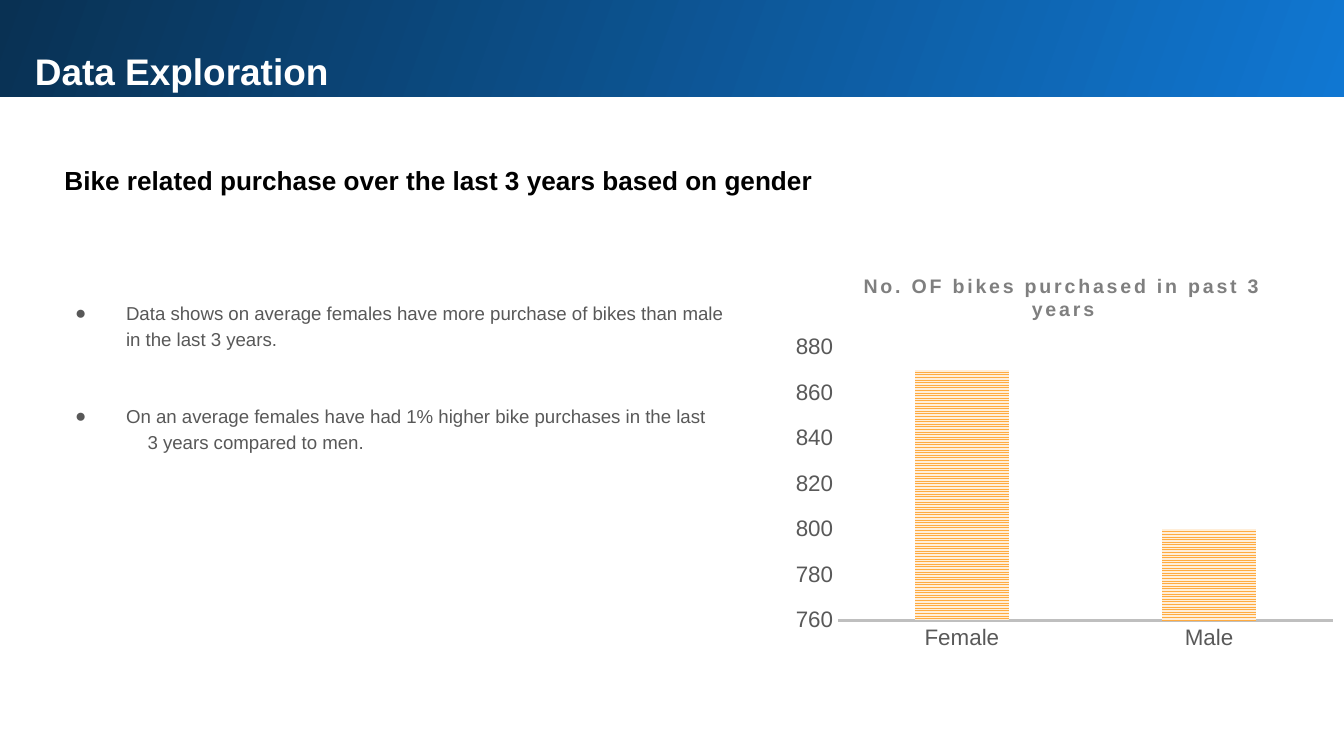
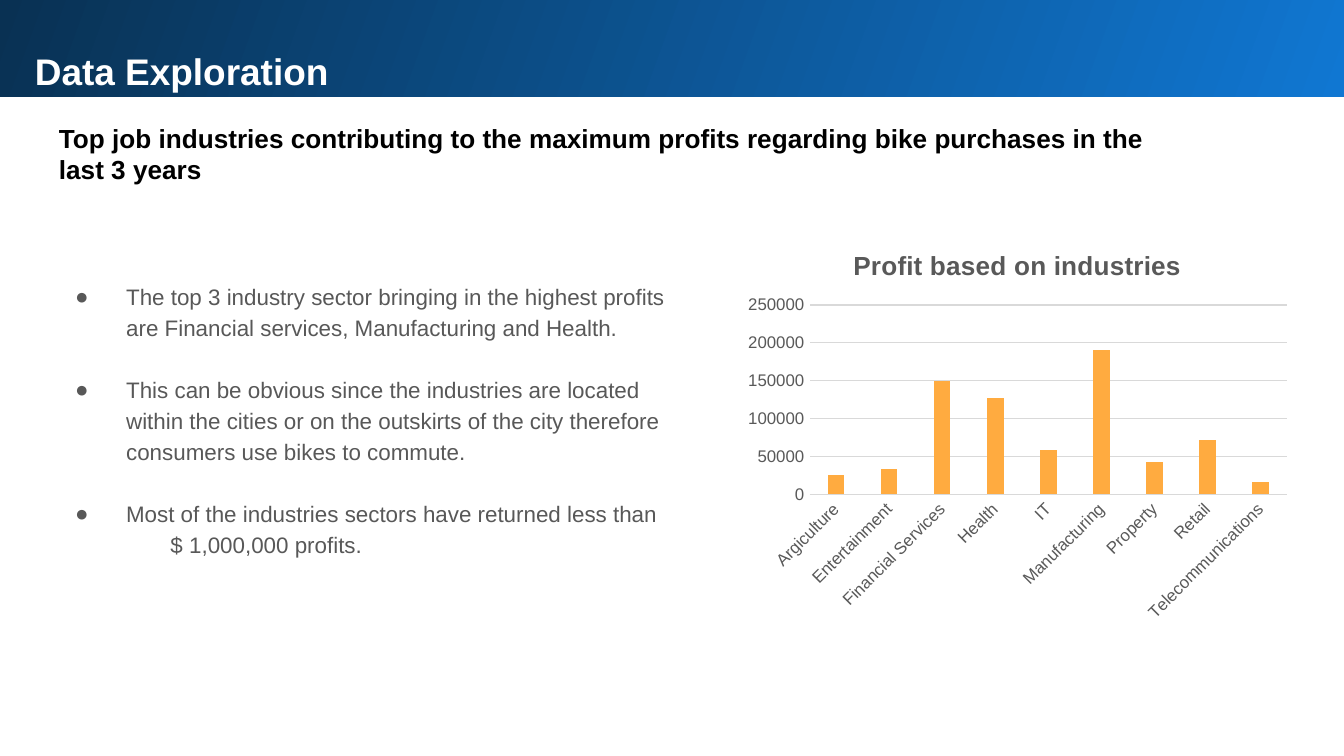
from lxml import etree
from pptx import Presentation
from pptx.chart.data import CategoryChartData
from pptx.dml.color import RGBColor
from pptx.enum.chart import XL_CHART_TYPE, XL_TICK_MARK
from pptx.enum.dml import MSO_PATTERN
from pptx.enum.shapes import MSO_SHAPE
from pptx.enum.text import MSO_ANCHOR, MSO_AUTO_SIZE, PP_ALIGN
from pptx.oxml import parse_xml
from pptx.oxml.ns import nsdecls, qn
from pptx.util import Inches, Pt

COLUMN_CLUSTERED = XL_CHART_TYPE.COLUMN_CLUSTERED
NO_TICK = XL_TICK_MARK.NONE
NARROW_HORIZONTAL = MSO_PATTERN.NARROW_HORIZONTAL
RECTANGLE = MSO_SHAPE.RECTANGLE
BOTTOM = MSO_ANCHOR.BOTTOM
FIT_SHAPE = MSO_AUTO_SIZE.SHAPE_TO_FIT_TEXT
LEFT = PP_ALIGN.LEFT

WHITE = RGBColor(0xFF, 0xFF, 0xFF)
BLACK = RGBColor(0, 0, 0)
BAND_LIGHT = RGBColor(0x10, 0x77, 0xD2)
BAND_DARK = RGBColor(0x09, 0x31, 0x53)
BODY_GREY = RGBColor(0x58, 0x58, 0x58)
LABEL_GREY = RGBColor(0x59, 0x59, 0x59)
TITLE_GREY = RGBColor(0x7F, 0x7F, 0x7F)
AXIS_GREY = RGBColor(0xBF, 0xBF, 0xBF)
GRID_GREY = RGBColor(0xD9, 0xD9, 0xD9)
ORANGE = RGBColor(0xFF, 0xAB, 0x40)
PALE_ORANGE = RGBColor(0xFF, 0xEE, 0xD9)

FONT = "Arial"
SLIDE_WIDTH = Inches(10)
SLIDE_HEIGHT = SLIDE_WIDTH * 9 // 16
COLUMN = SLIDE_WIDTH / 100
ROW = SLIDE_HEIGHT / 100
BODY_LEFT = 3.4
TEXT_INDENT = 5
BULLET_HANG = 3.8
LINE_SPACING = 1.15


def columns(count):
    return round(count * COLUMN)


def rows(count):
    return round(count * ROW)


def place(left, top, width, height):
    """Turn grid columns and rows into slide lengths."""
    return columns(left), rows(top), columns(width), rows(height)


def style_font(font, size, color, bold=False):
    font.name = FONT
    font.size = Pt(size)
    font.bold = bold
    font.color.rgb = color


def add_run(paragraph, text, size, color, bold=False):
    run = paragraph.add_run()
    run.text = text
    style_font(run.font, size, color, bold)
    return run


def add_title_band(slide, text):
    band = slide.shapes.add_shape(RECTANGLE, *place(0, 0, 100, 12.8))
    band.shadow.inherit = False
    band.line.fill.background()
    band.fill.gradient()
    band.fill.gradient_angle = 160
    for stop, color in zip(band.fill.gradient_stops, (BAND_LIGHT, BAND_DARK)):
        stop.color.rgb = color
    frame = band.text_frame
    frame.vertical_anchor = BOTTOM
    frame.margin_left = columns(2.6)
    frame.margin_top = 0
    frame.margin_bottom = rows(0.55)
    frame.paragraphs[0].alignment = LEFT
    add_run(frame.paragraphs[0], text, 19.8, WHITE, True)


def add_headline(slide, text, area, side_margin):
    frame = slide.shapes.add_textbox(*place(*area)).text_frame
    frame.word_wrap = True
    frame.auto_size = FIT_SHAPE
    frame.margin_left = frame.margin_right = columns(side_margin)
    frame.margin_top = frame.margin_bottom = columns(0.5)
    add_run(frame.paragraphs[0], text, 14, BLACK, True)


def set_indent(paragraph, left, hang=0):
    properties = paragraph._p.get_or_add_pPr()
    properties.set("marL", str(columns(left)))
    properties.set("indent", str(-columns(hang)))
    return properties


def add_bullet(paragraph):
    properties = set_indent(paragraph, TEXT_INDENT, BULLET_HANG)
    color = etree.SubElement(properties, qn("a:buClr"))
    etree.SubElement(color, qn("a:srgbClr")).set("val", str(BODY_GREY))
    etree.SubElement(properties, qn("a:buFont")).set("typeface", FONT)
    etree.SubElement(properties, qn("a:buChar")).set("char", "●")


def add_bullets(slide, items, area, top_margin, size, gap):
    """Items are (text, shift); a shift marks an indented line without a bullet."""
    frame = slide.shapes.add_textbox(*place(*area)).text_frame
    frame.word_wrap = True
    frame.margin_left = frame.margin_right = frame.margin_bottom = columns(1)
    frame.margin_top = columns(top_margin)
    for index, (text, shift) in enumerate(items):
        paragraph = frame.add_paragraph() if index else frame.paragraphs[0]
        if shift:
            set_indent(paragraph, TEXT_INDENT + shift)
        else:
            add_bullet(paragraph)
            paragraph.space_before = Pt(gap if index else 0)
        paragraph.line_spacing = LINE_SPACING
        add_run(paragraph, text, size, BODY_GREY)


def set_plot_layout(chart, shares):
    """Fix the inner plot area as x, y, w, h shares of the chart."""
    modes = '<c:xMode val="edge"/><c:yMode val="edge"/>'
    sizes = "".join(f'<c:{key} val="{share}"/>' for key, share in zip("xywh", shares))
    layout = parse_xml(
        f'<c:layout {nsdecls("c")}><c:manualLayout><c:layoutTarget val="inner"/>'
        f"{modes}{sizes}</c:manualLayout></c:layout>")
    plot_area = chart._chartSpace.chart.plotArea
    for old_layout in plot_area.findall(qn("c:layout")):
        plot_area.remove(old_layout)
    plot_area.insert(0, layout)


def style_axis(axis, size):
    axis.major_tick_mark = axis.minor_tick_mark = NO_TICK
    axis.has_major_gridlines = False
    style_font(axis.tick_labels.font, size, LABEL_GREY)


def style_line(line, color, width):
    line.color.rgb = color
    line.width = Pt(width)


def add_column_chart(slide, area, values, layout, scale, label_size, gap, overlap,
                     axis_line):
    """Add a one-series column chart; scale is minimum, maximum and step."""
    data = CategoryChartData()
    data.categories = list(values)
    data.add_series("Series 1", list(values.values()))
    chart = slide.shapes.add_chart(COLUMN_CLUSTERED, *place(*area), data).chart
    chart.has_legend = False
    style_font(chart.font, 10, BLACK)
    set_plot_layout(chart, layout)
    plot = chart.plots[0]
    plot.vary_by_categories = False
    plot.gap_width, plot.overlap = gap, overlap
    plot.series[0].invert_if_negative = False
    style_axis(chart.category_axis, label_size)
    style_axis(chart.value_axis, label_size)
    style_line(chart.category_axis.format.line, *axis_line)
    value_axis = chart.value_axis
    value_axis.format.line.fill.background()
    value_axis.minimum_scale, value_axis.maximum_scale, value_axis.major_unit = scale
    return chart


def add_chart_title(chart, text, size, color):
    chart.has_title = True
    chart.chart_title.include_in_layout = False
    paragraph = chart.chart_title.text_frame.paragraphs[0]
    return add_run(paragraph, text, size, color, True)


def add_gender_slide(slide):
    add_bullets(slide, [
        ("Data shows on average females have more purchase of bikes than male "
         "in the last 3 years.", 0),
        ("On an average females have had 1% higher bike purchases in the last", 0),
        ("3 years compared to men.", 1.6),
    ], (BODY_LEFT, 31.5, 52.7, 57.6), 4.5, 10, 27.7)
    add_title_band(slide, "Data Exploration")
    add_headline(slide, "Bike related purchase over the last 3 years based on gender",
                 (4.3, 20.85, 73.4, 6), 0.5)
    chart = add_column_chart(
        slide, (58.2, 33.65, 41.8, 53.2), {"Female": 870, "Male": 800},
        (0.1, 0.23, 0.88, 0.68), (760, 880, 20), 12, 164, -22, (AXIS_GREY, 1.5))
    title = add_chart_title(chart, "No. OF bikes purchased in past 3 years",
                            10.5, TITLE_GREY)
    title.font._element.set("spc", "150")
    fill = chart.plots[0].series[0].format.fill
    fill.patterned()
    fill.pattern = NARROW_HORIZONTAL
    fill.fore_color.rgb = ORANGE
    fill.back_color.rgb = PALE_ORANGE


def add_industry_slide(slide):
    add_bullets(slide, [
        ("The top 3 industry sector bringing in the highest profits are "
         "Financial services, Manufacturing and Health.", 0),
        ("This can be obvious since the industries are located within the cities or "
         "on the outskirts of the city therefore consumers use bikes to commute.", 0),
        ("Most of the industries sectors have returned less than", 0),
        ("$ 1,000,000 profits.", 3.3),
    ], (BODY_LEFT, 27.55, 49.2, 61.35), 5.3, 12, 16.6)
    add_title_band(slide, "Data Exploration")
    profits = {
        "Argiculture": 25000, "Entertainment": 33000, "Financial Services": 149000,
        "Health": 127000, "IT": 59000, "Manufacturing": 191000, "Property": 42000,
        "Retail": 71000, "Telecommunications": 16000,
    }
    chart = add_column_chart(
        slide, (54.8, 30.2, 41.8, 53.35), profits, (0.13, 0.19, 0.85, 0.47),
        (0, 250000, 50000), 9, 219, -27, (GRID_GREY, 0.75))
    add_chart_title(chart, "Profit based on industries", 14, LABEL_GREY)
    fill = chart.plots[0].series[0].format.fill
    fill.solid()
    fill.fore_color.rgb = ORANGE
    chart.value_axis.has_major_gridlines = True
    style_line(chart.value_axis.major_gridlines.format.line, GRID_GREY, 0.75)
    label_body = chart.category_axis._element.find(qn("c:txPr")).find(qn("a:bodyPr"))
    label_body.set("rot", "-2700000")
    add_headline(slide, "Top job industries contributing to the maximum profits "
                 "regarding bike purchases in the last 3 years",
                 (BODY_LEFT, 15.25, 86.6, 10.1), 1)


def main():
    presentation = Presentation()
    presentation.slide_width = SLIDE_WIDTH
    presentation.slide_height = SLIDE_HEIGHT
    blank = presentation.slide_layouts[6]
    for fill_slide in (add_gender_slide, add_industry_slide):
        fill_slide(presentation.slides.add_slide(blank))
    presentation.save("out.pptx")


if __name__ == "__main__":
    main()
